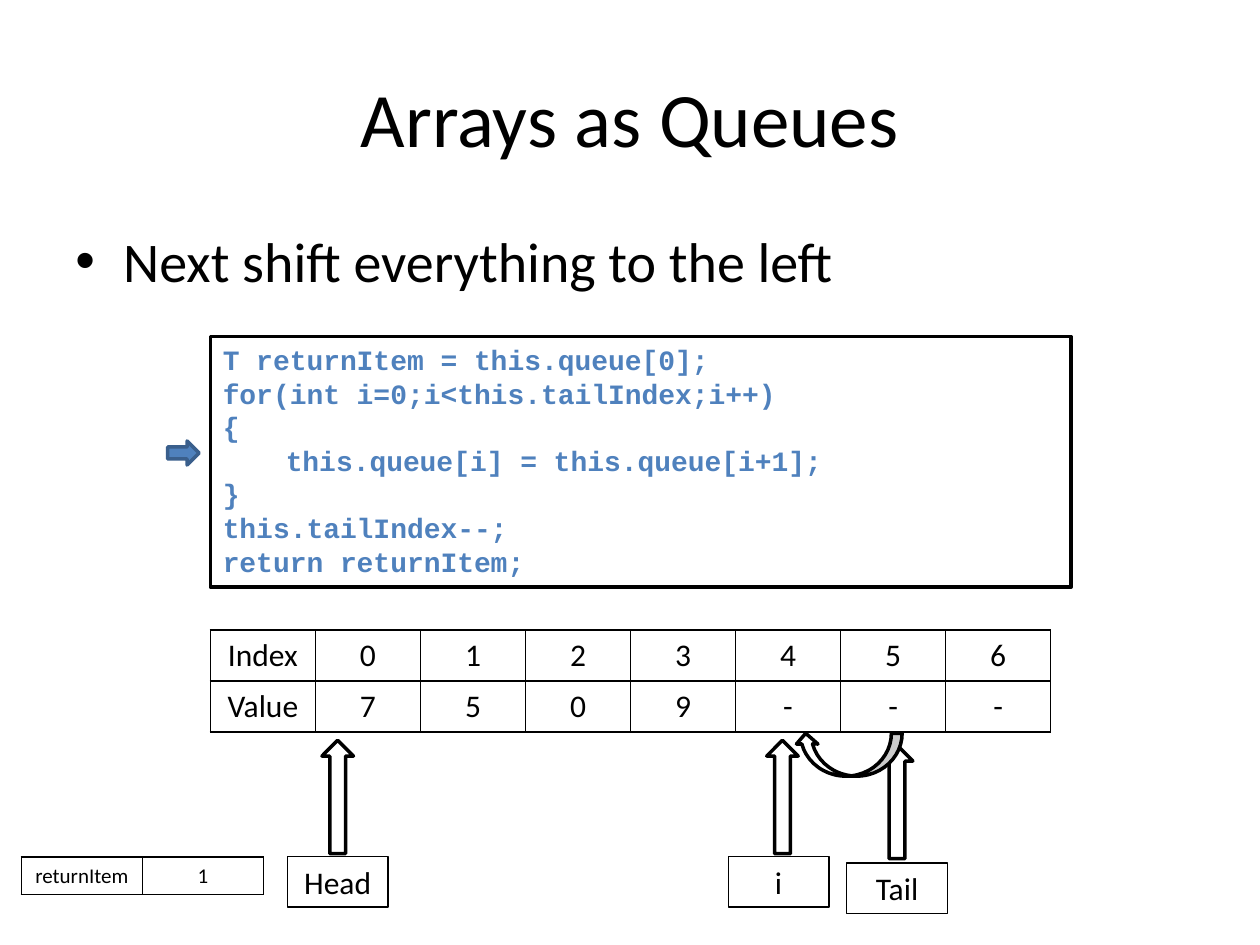
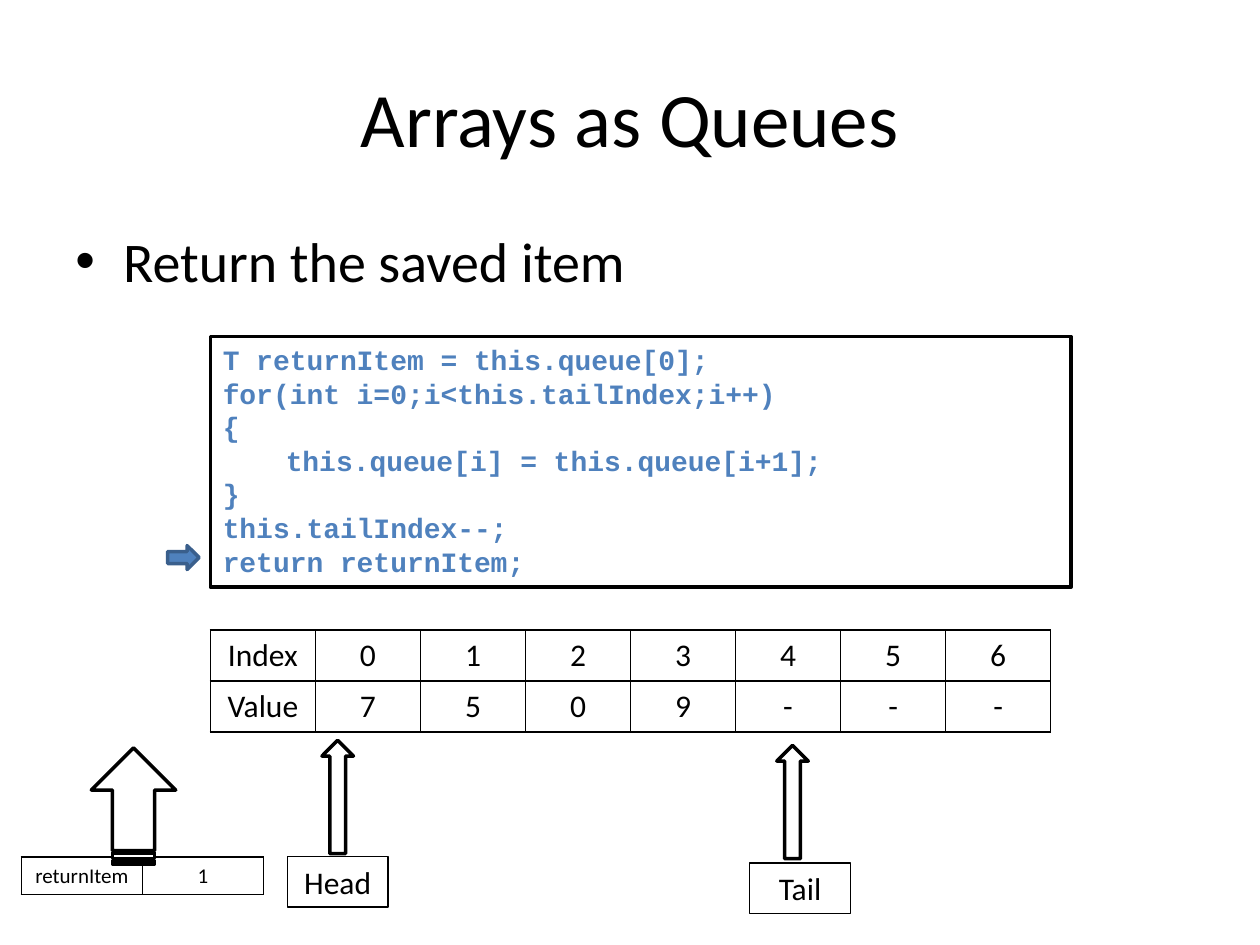
from lxml import etree
from pptx import Presentation
from pptx import util as u
from pptx.dml.color import RGBColor
from pptx.enum import shapes, text
from pptx.oxml import ns

BLACK, WHITE, BLUE, DARK_BLUE = "000000", "FFFFFF", "4F81BD", "3A5F8C"
SANS, MONO = "Calibri", "Courier New"
SHAPE = shapes.MSO_SHAPE
CENTER, LEFT = text.PP_ALIGN.CENTER, text.PP_ALIGN.LEFT

CODE = "\n".join([
    "T returnItem = this.queue[0];",
    "for(int i=0;i<this.tailIndex;i++)",
    "{",
    "\tthis.queue[i] = this.queue[i+1];",
    "}",
    "this.tailIndex--;",
    "return returnItem;",
])
QUEUE = [["Index", *"0123456"], ["Value", *"7509---"]]


def color(value):
    return RGBColor.from_string(value)


def inches(*lengths):
    return [u.Inches(length) for length in lengths]


class Deck:
    def __init__(self):
        self.presentation = Presentation()
        self.presentation.slide_width, self.presentation.slide_height = inches(10, 7.5)
        self.slide = None

    def add_slide(self, title, bullet):
        self.slide = self.presentation.slides.add_slide(self.presentation.slide_layouts[6])
        heading = self.text_box((0.5, 0.3, 9, 1.25), title, 44, CENTER)
        heading.vertical_anchor = text.MSO_ANCHOR.MIDDLE
        body = self.text_box((0.5, 1.75, 9, 4.95), bullet, 32, LEFT)
        paragraph = body.paragraphs[0]
        paragraph.space_before = u.Pt(6.4)
        properties = paragraph._p.get_or_add_pPr()
        properties.set("marL", str(u.Inches(0.38)))
        properties.set("indent", str(u.Inches(-0.38)))
        font = etree.SubElement(properties, ns.qn("a:buFont"))
        font.set("typeface", "Arial")
        etree.SubElement(properties, ns.qn("a:buChar")).set("char", "•")

    def fill_text(self, frame, content, size, align, font=SANS, ink=BLACK, bold=False):
        frame.text = content
        for paragraph in frame.paragraphs:
            paragraph.alignment = align
            for run in paragraph.runs:
                run.font.size = u.Pt(size)
                run.font.name = font
                run.font.bold = bold
                run.font.color.rgb = color(ink)

    def text_box(self, box, content, size, align):
        frame = self.slide.shapes.add_textbox(*inches(*box)).text_frame
        frame.word_wrap = True
        self.fill_text(frame, content, size, align)
        return frame

    def shape(self, kind, box, fill=WHITE, line=BLACK, width=2, rotation=0):
        shape = self.slide.shapes.add_shape(kind, *inches(*box))
        shape.shadow.inherit = False
        shape.rotation = rotation
        if fill:
            shape.fill.solid()
            shape.fill.fore_color.rgb = color(fill)
        else:
            shape.fill.background()
        shape.line.color.rgb = color(line)
        shape.line.width = u.Pt(width)
        return shape

    def table(self, left, top, column_width, row_height, rows, size):
        count = len(rows[0])
        frame = self.slide.shapes.add_table(
            len(rows), count,
            *inches(left, top, column_width * count, row_height * len(rows)))
        table = frame.table
        table.first_row = table.horz_banding = False
        for row, values in zip(table.rows, rows):
            row.height = u.Inches(row_height)
            for cell, value in zip(row.cells, values):
                self.fill_text(cell.text_frame, value, size, CENTER)
                self.border(cell)
                cell.fill.background()
        for column in table.columns:
            column.width = u.Inches(column_width)

    def border(self, cell):
        properties = cell._tc.get_or_add_tcPr()
        for side in "LRTB":
            line = etree.SubElement(properties, ns.qn(f"a:ln{side}"))
            line.set("w", str(u.Pt(1)))
            fill = etree.SubElement(line, ns.qn("a:solidFill"))
            etree.SubElement(fill, ns.qn("a:srgbClr")).set("val", BLACK)

    def pointer(self, name, label_left, arrow_left, label_top=6.8, arrow_top=6.2):
        label = self.shape(SHAPE.RECTANGLE, (label_left, label_top, 0.8, 0.4), None, width=0.75)
        label.text_frame.word_wrap = True
        self.fill_text(label.text_frame, name, 18, CENTER)
        self.shape(SHAPE.RIGHT_ARROW, (arrow_left, arrow_top, 0.9, 0.25), rotation=270)

    def tail(self, label_left, arrow_left):
        self.pointer("Tail", label_left, arrow_left, 6.85, 6.24)

    def code(self, marker_top):
        box = self.shape(SHAPE.RECTANGLE, (1.67, 2.67, 6.83, 1.99))
        box.text_frame.word_wrap = True
        box.text_frame.vertical_anchor = text.MSO_ANCHOR.TOP
        self.fill_text(box.text_frame, CODE, 16, LEFT, MONO, BLUE, True)
        self.shape(SHAPE.RIGHT_ARROW, (1.33, marker_top, 0.25, 0.19), BLUE, DARK_BLUE)

    def queue_step(self, bullet, tail_label, tail_arrow, marker_top):
        self.add_slide("Arrays as Queues", bullet)
        self.table(1.67, 5, 6.67 / 8, 0.405, QUEUE, 18)
        self.pointer("Head", 2.28, 2.23)
        self.tail(tail_label, tail_arrow)
        self.code(marker_top)
        self.table(0.17, 6.8, 0.96, 0.3, [["returnItem", "1"]], 12)

    def shift_arrow(self):
        arrow = self.shape(SHAPE.CURVED_UP_ARROW, (6.31, 5.82, 0.85, 0.34))
        arrow._element.spPr.xfrm.set("flipH", "1")

    def return_arrow(self):
        self.shape(SHAPE.STRIPED_RIGHT_ARROW, (0.6, 6.06, 0.92, 0.67), rotation=270)


deck = Deck()

deck.queue_step("Next shift everything to the left", 6.72, 6.67, 3.5)
deck.pointer("i", 5.78, 5.76)
deck.shift_arrow()

deck.queue_step("Return the saved item", 5.95, 5.84, 4.33)
deck.return_arrow()

deck.presentation.save("out.pptx")
